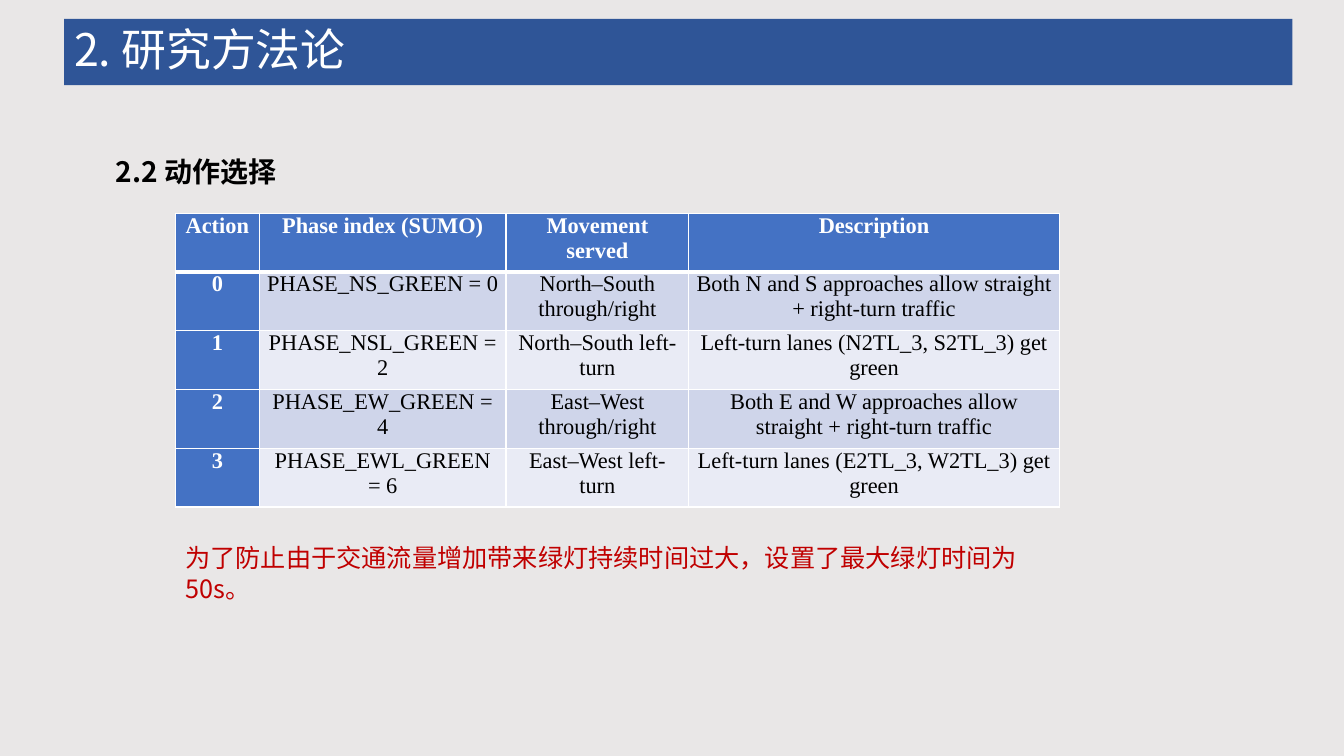
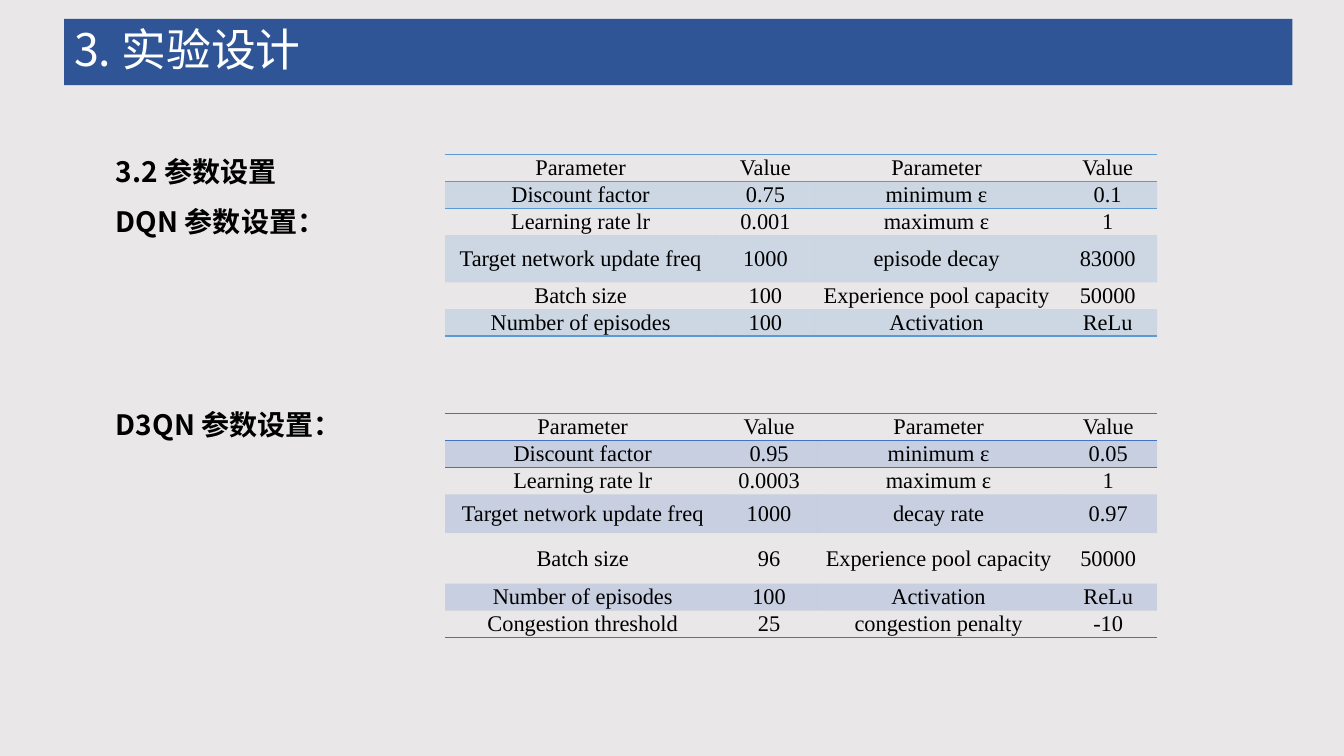
from dataclasses import dataclass

from lxml.etree import SubElement
from pptx import Presentation
from pptx.dml.color import RGBColor as Rgb
from pptx.enum.text import MSO_ANCHOR as Anchor, MSO_AUTO_SIZE as Fit, PP_ALIGN as Align
from pptx.oxml.ns import qn
from pptx.util import Pt


PX = 9525
PLAIN = "{2D5ABB26-0587-4C30-8999-92F81FD0307C}"


@dataclass(frozen=True)
class Theme:
    back: str = "E9E7E7"
    band: str = "2F5597"
    white: str = "FFFFFF"
    ink: str = "000000"
    alert: str = "C00000"
    blue: str = "4472C4"
    sky: str = "5B9BD5"
    odd: str = "CFD5EA"
    even: str = "E9EBF5"
    sans: str = "Noto Sans CJK SC"
    serif: str = "Times New Roman"
    title: int = 32
    head: int = 20
    note: int = 18
    cell: int = 16
    tint: int = 20


class Deck:
    def __init__(self, theme):
        self.theme = theme
        self.file = Presentation()
        self.file.slide_width, self.file.slide_height = 1280 * PX, 720 * PX
        self.paint(self.file.slide_master.background.fill, theme.back)
        self.slide = None

    def paint(self, fill, color):
        fill.solid()
        fill.fore_color.rgb = Rgb.from_string(color)

    def place(self, shape, box):
        shape.left, shape.top, shape.width, shape.height = (n * PX for n in box)

    def put(self, para, text, size, color, face, bold=False):
        run = para.add_run()
        run.text = text
        font = run.font
        font.size, font.bold, font.name = Pt(size), bold, face
        font.color.rgb = Rgb.from_string(color)
        SubElement(run._r.get_or_add_rPr(), qn("a:ea"), typeface=face)

    def page(self, title):
        look = self.theme
        self.slide = self.file.slides.add_slide(self.file.slide_layouts[5])
        shape = self.slide.shapes.title
        self.place(shape, (61, 18, 1170, 63))
        self.paint(shape.fill, look.band)
        frame = shape.text_frame
        frame.auto_size = Fit.NONE
        frame.vertical_anchor = Anchor.MIDDLE
        para = frame.paragraphs[0]
        para.alignment, para.line_spacing = Align.LEFT, 0.9
        self.put(para, title, look.title, look.white, look.sans)

    def text(self, box, lines, size, color, bold=False, pitch=1.0):
        shape = self.slide.shapes.add_textbox(*(n * PX for n in box))
        frame = shape.text_frame
        frame.word_wrap = True
        frame.auto_size = Fit.SHAPE_TO_FIT_TEXT
        for i, (line, gap) in enumerate(lines):
            para = frame.add_paragraph() if i else frame.paragraphs[0]
            para.line_spacing, para.space_before = pitch, Pt(gap)
            self.put(para, line, size, color, self.theme.sans, bold)

    def heads(self, height, *lines):
        look = self.theme
        self.text((101, 126, 1002, height), lines, look.head, look.ink, True, 1.5)

    def edge(self, cell, color, **sides):
        prop = cell._tc.get_or_add_tcPr()
        for side in "LRTB":
            if side in sides:
                line = SubElement(prop, qn(f"a:ln{side}"), w=str(int(Pt(sides[side]))))
                fill = SubElement(line, qn("a:solidFill"))
                SubElement(fill, qn("a:srgbClr"), val=color)

    def table(self, spot, cols, rows, data, style):
        box = (*spot, sum(cols), sum(rows))
        frame = self.slide.shapes.add_table(
            len(rows), len(cols), *(n * PX for n in box))
        table = frame.table
        table.first_row = table.horz_banding = False
        table._tbl.tblPr.find(qn("a:tableStyleId")).text = PLAIN
        for col, width in zip(table.columns, cols):
            col.width = width * PX
        for row, height in zip(table.rows, rows):
            row.height = height * PX
        for r, line in enumerate(data):
            for c, text in enumerate(line):
                cell = table.cell(r, c)
                cell.margin_left = cell.margin_right = 7 * PX
                cell.margin_top = cell.margin_bottom = 0
                color, bold = style(cell, r, c, len(rows) - 1)
                para = cell.text_frame.paragraphs[0]
                para.alignment = Align.CENTER
                self.put(para, text, self.theme.cell, color, self.theme.serif, bold)

    def grid(self, spot, cols, rows, data):
        look = self.theme

        def style(cell, r, c, last):
            lead = r == 0 or c == 0
            top, low = (3 if r == 1 else 1), (3 if r == 0 else 1)
            self.edge(cell, look.white, L=1, R=1, T=top, B=low)
            self.paint(cell.fill, look.blue if lead else look.odd if r % 2 else look.even)
            return (look.white if lead else look.ink), lead

        self.table(spot, cols, rows, data, style)

    def ruled(self, spot, cols, rows, data, color):
        look = self.theme

        def style(cell, r, c, last):
            cell.vertical_anchor = Anchor.MIDDLE
            sides = {"T": 1, "B": 1} if r == 0 else {"T": 1} if r == 1 else {}
            if r == last:
                sides["B"] = 1
            self.edge(cell, color, **sides)
            if r % 2:
                self.paint(cell.fill, color)
                tone = cell._tc.tcPr.find(qn("a:solidFill"))[0]
                SubElement(tone, qn("a:alpha"), val=str(look.tint * 1000))
            else:
                cell.fill.background()
            return look.ink, False

        self.table(spot, cols, rows, data, style)


def method(deck):
    look = deck.theme
    deck.page("2. 研究方法论")
    deck.heads(199, ("2.2 动作选择", 0))
    deck.grid((167, 203), (80, 235, 174, 353), [56] * 5, (
        ("Action", "Phase index (SUMO)", "Movement served", "Description"),
        ("0", "PHASE_NS_GREEN = 0", "North–South through/right",
         "Both N and S approaches allow straight + right-turn traffic"),
        ("1", "PHASE_NSL_GREEN = 2", "North–South left-turn",
         "Left-turn lanes (N2TL_3, S2TL_3) get green"),
        ("2", "PHASE_EW_GREEN = 4", "East–West through/right",
         "Both E and W approaches allow straight + right-turn traffic"),
        ("3", "PHASE_EWL_GREEN = 6", "East–West left-turn",
         "Left-turn lanes (E2TL_3, W2TL_3) get green"),
    ))
    note = "为了防止由于交通流量增加带来绿灯持续时间过大，设置了最大绿灯时间为50s。"
    deck.text((167, 512, 854, 38), [(note, 0)], look.note, look.alert)


def setup(deck):
    look = deck.theme
    head = ("Parameter", "Value") * 2
    deck.page("3. 实验设计")
    deck.heads(441, ("3.2 参数设置", 0), ("DQN 参数设置：", 0), ("D3QN 参数设置：", 109))
    deck.ruled((424, 147), (258, 94, 232, 94), (25, 25, 25, 45, 25, 25), (
        head,
        ("Discount factor", "0.75", "minimum ε", "0.1"),
        ("Learning rate lr", "0.001", "maximum ε", "1"),
        ("Target network update freq", "1000", "episode decay", "83000"),
        ("Batch size", "100", "Experience pool capacity", "50000"),
        ("Number of episodes", "100", "Activation", "ReLu"),
    ), look.sky)
    deck.ruled((424, 394), (262, 93, 230, 93), (24, 24, 24, 37, 48, 24, 24), (
        head,
        ("Discount factor", "0.95", "minimum ε", "0.05"),
        ("Learning rate lr", "0.0003", "maximum ε", "1"),
        ("Target network update freq", "1000", "decay rate", "0.97"),
        ("Batch size", "96", "Experience pool capacity", "50000"),
        ("Number of episodes", "100", "Activation", "ReLu"),
        ("Congestion threshold", "25", "congestion penalty", "-10"),
    ), look.blue)


def main():
    deck = Deck(Theme())
    method(deck)
    setup(deck)
    deck.file.save("out.pptx")


if __name__ == "__main__":
    main()
